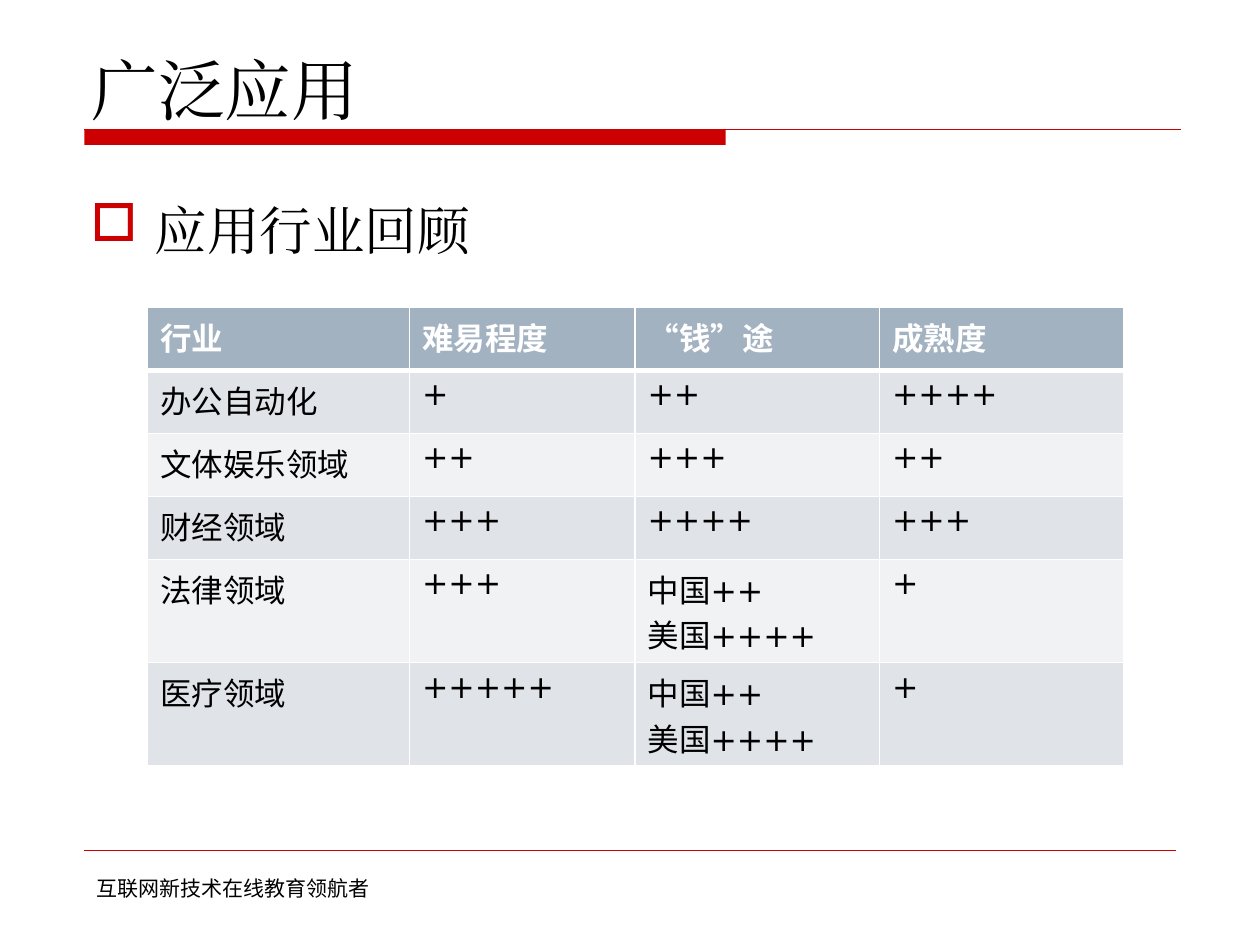
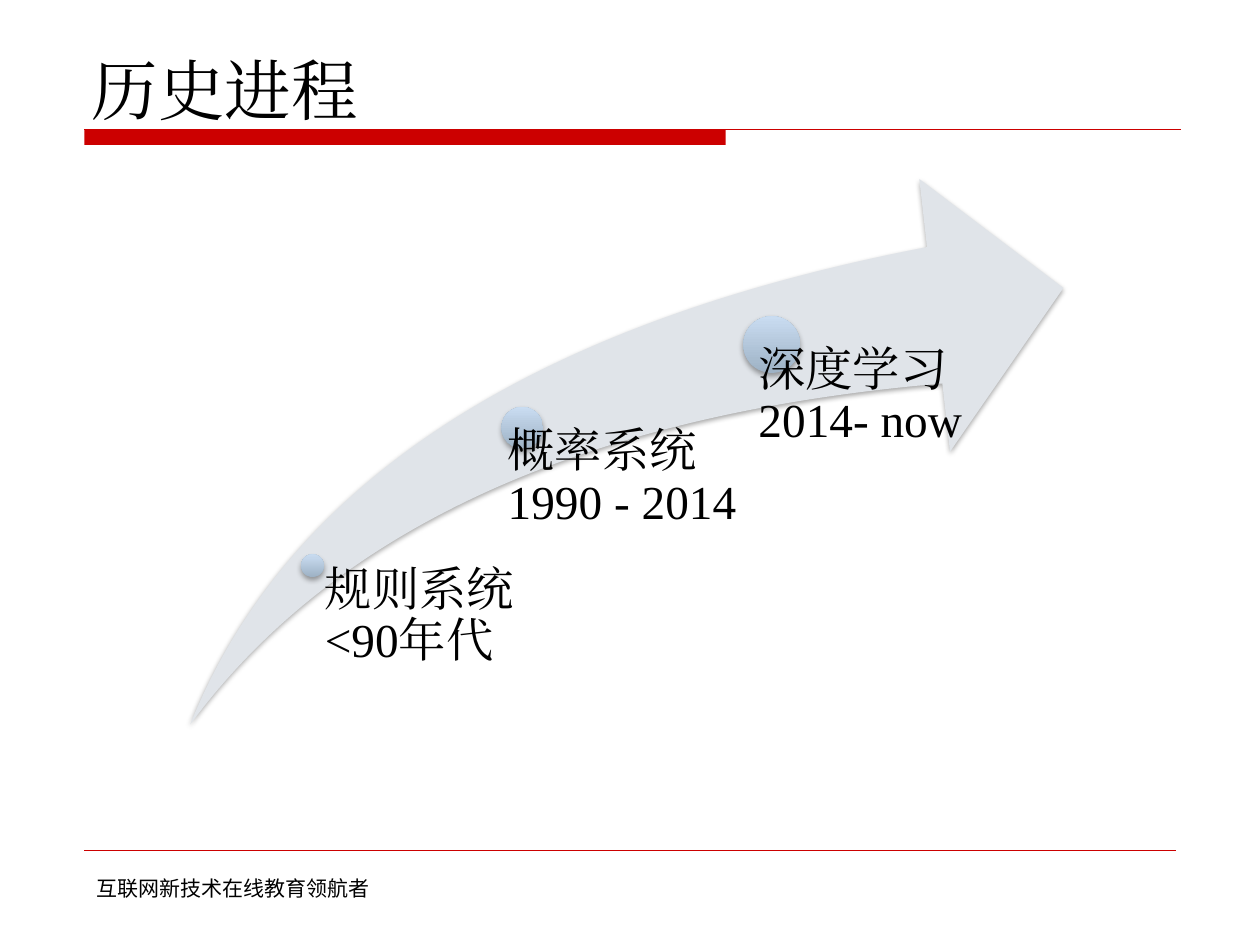
from lxml import etree
from pptx import Presentation
from pptx.dml.color import RGBColor
from pptx.enum.shapes import MSO_CONNECTOR, MSO_SHAPE
from pptx.enum.text import MSO_ANCHOR
from pptx.oxml.ns import qn
from pptx.util import Inches, Pt

RECT, OVAL, SWOOSH = MSO_SHAPE.RECTANGLE, MSO_SHAPE.OVAL, MSO_SHAPE.SWOOSH_ARROW
STRAIGHT = MSO_CONNECTOR.STRAIGHT
BOTTOM = MSO_ANCHOR.BOTTOM

COLORS = {
    "red": "CC0000", "black": "000000", "white": "FFFFFF", "header": "A3B2C1",
    "band_dark": "E0E4E9", "band_light": "F0F2F4",
    "dot_bottom": "9EB2C5", "dot_top": "C9DCF1",
}
RGB = {name: RGBColor.from_string(value) for name, value in COLORS.items()}
SERIF, SANS, CJK = "Times New Roman", "DejaVu Sans", "Noto Sans CJK SC"


def write(p, text, size, font=SERIF, east_asian=SERIF, color="black", bold=False):
    """Fill a paragraph with one format, with a separate East Asian font."""
    p.text = text
    for r in p.runs:
        for name, value in {"size": Pt(size), "name": font, "bold": bold}.items():
            setattr(r.font, name, value)
        r.font.color.rgb = RGB[color]
        ea = etree.SubElement(r.font._element, qn("a:ea"))
        ea.set("typeface", east_asian)


def add_shadow(sp):
    """Give a shape a soft shadow straight below, and no outline."""
    sp.line.fill.background()
    sp.shadow.inherit = False
    effects = sp._element.spPr.find(qn("a:effectLst"))
    shadow = etree.SubElement(effects, qn("a:outerShdw"), blurRad=str(Pt(3.1)),
                              dist=str(Pt(1.8)), dir="5400000", rotWithShape="0")
    clr = etree.SubElement(shadow, qn("a:srgbClr"), val=COLORS["black"])
    etree.SubElement(clr, qn("a:alpha"), val="35000")


prs = Presentation()
prs.slide_width, prs.slide_height = Inches(10), Inches(7.5)

# Title, red band, rules and footer on every slide
slides = []
for title in ("广泛应用", "历史进程"):
    s = prs.slides.add_slide(prs.slide_layouts[6])
    slides.append(s)

    band = s.shapes.add_shape(RECT, Inches(0.67), Inches(1.03), Inches(5.09), Inches(0.12))
    band.shadow.inherit = False
    band.fill.solid()
    band.fill.fore_color.rgb = RGB["red"]
    band.line.fill.background()

    for right, y, width in ((9.37, 1.03, 0.75), (9.33, 6.75, 0.25)):
        rule = s.shapes.add_connector(STRAIGHT, Inches(0.67), Inches(y), Inches(right), Inches(y))
        rule.line.color.rgb = RGB["red"]
        rule.line.width = Pt(width)
        etree.SubElement(rule._element.spPr, qn("a:effectLst"))

    footer = s.shapes.add_textbox(Inches(0.67), Inches(6.9), Inches(2.39), Inches(0.3))
    write(footer.text_frame.paragraphs[0], "互联网新技术在线教育领航者", 12, CJK, CJK)

    tf = s.shapes.add_textbox(Inches(0.63), Inches(0.33), Inches(8.75), Inches(0.74)).text_frame
    tf.word_wrap = True
    tf.vertical_anchor = BOTTOM
    write(tf.paragraphs[0], title, 38)

# Slide 1: industries table
s = slides[0]
tf = s.shapes.add_textbox(Inches(0.62), Inches(1.52), Inches(8.75), Inches(0.8)).text_frame
tf.word_wrap = True
p = tf.paragraphs[0]
pPr = p._p.get_or_add_pPr()
pPr.set("marL", str(Inches(0.51)))
pPr.set("indent", str(-Inches(0.51)))
bullet_color = etree.SubElement(pPr, qn("a:buClr"))
etree.SubElement(bullet_color, qn("a:srgbClr"), val=COLORS["red"])
etree.SubElement(pPr, qn("a:buFont"), typeface="OpenSymbol")
etree.SubElement(pPr, qn("a:buChar"), char="□")
write(p, "应用行业回顾", 30)

ROWS = [
    ("行业", "难易程度", "“钱”途", "成熟度"),
    ("办公自动化", "+", "++", "++++"),
    ("文体娱乐领域", "++", "+++", "++"),
    ("财经领域", "+++", "++++", "+++"),
    ("法律领域", "+++", "中国++\n美国++++", "+"),
    ("医疗领域", "+++++", "中国++\n美国++++", "+"),
]
COL_WIDTHS = (2.08, 1.79, 1.94, 1.94)
ROW_HEIGHTS = (0.5, 0.5, 0.5, 0.5, 0.82, 0.82)
table = s.shapes.add_table(len(ROWS), len(COL_WIDTHS), Inches(1.17), Inches(2.44),
                           Inches(sum(COL_WIDTHS)), Inches(sum(ROW_HEIGHTS))).table
for col, width in zip(table.columns, COL_WIDTHS):
    col.width = Inches(width)
for row, height in zip(table.rows, ROW_HEIGHTS):
    row.height = Inches(height)

for i, texts in enumerate(ROWS):
    is_header = i == 0
    fill = "header" if is_header else ("band_light", "band_dark")[i % 2]
    for j, text in enumerate(texts):
        cell = table.cell(i, j)
        tcPr = cell._tc.get_or_add_tcPr()
        for side in ("lnL", "lnR", "lnT", "lnB"):
            below_header = (i, side) in ((0, "lnB"), (1, "lnT"))
            ln = etree.SubElement(tcPr, qn("a:" + side), w=str(Pt(3 if below_header else 1)))
            solid = etree.SubElement(ln, qn("a:solidFill"))
            etree.SubElement(solid, qn("a:srgbClr"), val=COLORS["white"])
        cell.fill.solid()
        cell.fill.fore_color.rgb = RGB[fill]
        tf = cell.text_frame
        for k, line in enumerate(text.split("\n")):
            p = tf.add_paragraph() if k else tf.paragraphs[0]
            write(p, line, 18, SANS, CJK, "white" if is_header else "black", is_header)

# Slide 2: timeline along a rising arrow
s = slides[1]
arrow = s.shapes.add_shape(SWOOSH, Inches(1.51), Inches(1.42), Inches(6.93), Inches(4.33))
arrow.adjustments[0] = arrow.adjustments[1] = 0.25
arrow.fill.solid()
arrow.fill.fore_color.rgb = RGB["band_dark"]
add_shadow(arrow)

# dot left, top, diameter; label left, top, width, left inset; text
STAGES = [
    (2.39, 4.4, 0.18, 2.48, 4.49, 1.61, 0.1, "规则系统\v<90年代"),
    (3.98, 3.23, 0.33, 3.86, 3.39, 2.23, 0.17, "概率系统 1990 - 2014"),
    (5.9, 2.51, 0.45, 5.78, 2.74, 2.34, 0.24, "深度学习 2014- now"),
]
LABEL_BOTTOM = 5.75
for dot_x, dot_y, size, x, y, width, inset, text in STAGES:
    dot = s.shapes.add_shape(OVAL, Inches(dot_x), Inches(dot_y), Inches(size), Inches(size))
    dot.fill.gradient()
    dot.fill.gradient_angle = 90
    for stop, name in zip(dot.fill.gradient_stops, ("dot_bottom", "dot_top")):
        stop.color.rgb = RGB[name]
    add_shadow(dot)

    tf = s.shapes.add_textbox(Inches(x), Inches(y), Inches(width),
                              Inches(LABEL_BOTTOM - y)).text_frame
    tf.word_wrap = True
    tf.margin_left = Inches(inset)
    tf.margin_top = tf.margin_right = tf.margin_bottom = 0
    p = tf.paragraphs[0]
    p.line_spacing = 0.9
    write(p, text, 27)

prs.save("out.pptx")
